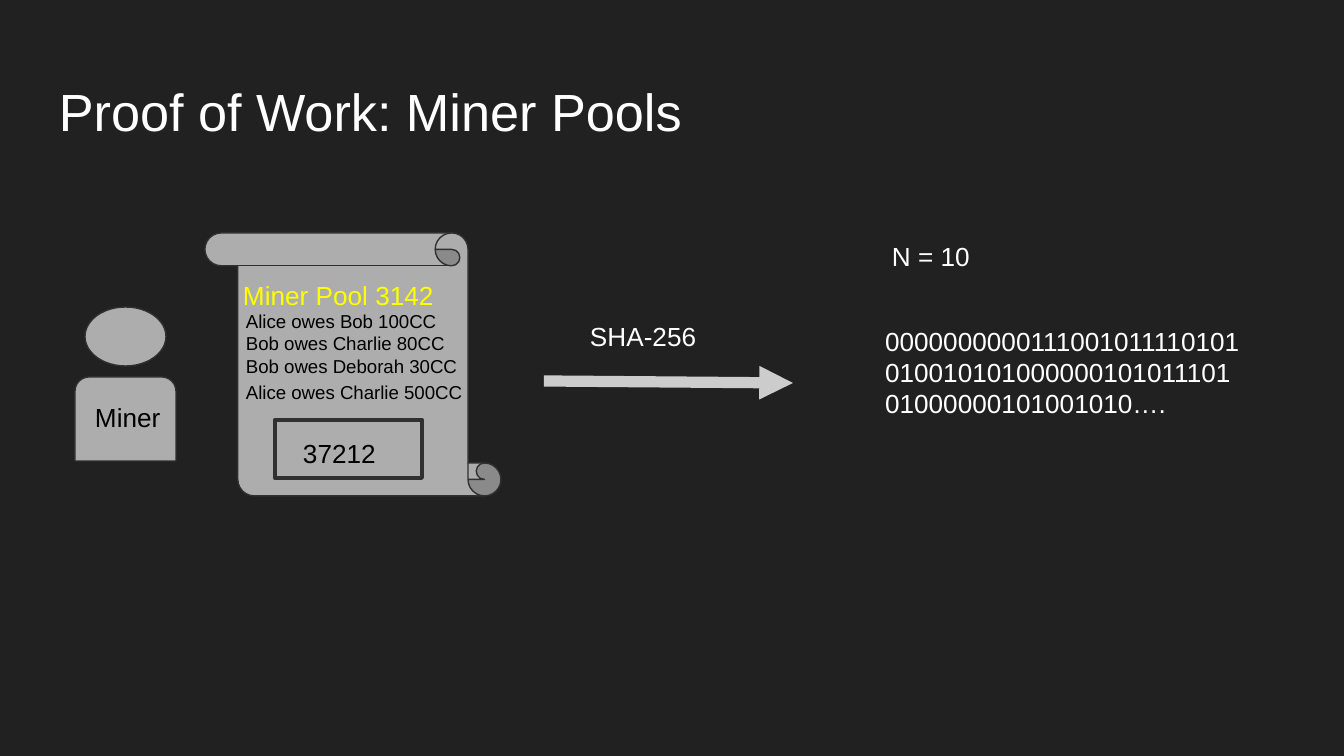
from lxml import etree
from pptx import Presentation
from pptx.dml.color import RGBColor
from pptx.enum.shapes import MSO_CONNECTOR, MSO_SHAPE
from pptx.oxml.ns import qn
from pptx.util import Pt

STRAIGHT = MSO_CONNECTOR.STRAIGHT
SCROLL = MSO_SHAPE.VERTICAL_SCROLL
RECT = MSO_SHAPE.RECTANGLE
ROUND_TOP = MSO_SHAPE.ROUND_2_SAME_RECTANGLE
OVAL = MSO_SHAPE.OVAL

PX = 914400 / 134.4
INSET = 13
COLORS = {
    "background": "212121",
    "fill": "ADADAD",
    "outline": "303030",
    "arrow": "CCCCCC",
    "light": "FFFFFF",
    "dark": "000000",
    "pool": "FFFF00",
}


def add_text(text, x, y, w, h, size=14, color="light"):
    tf = slide.shapes.add_textbox(*[round(v * PX) for v in (x, y, w, h)]).text_frame
    tf.word_wrap = True
    tf.margin_left = tf.margin_right = round(INSET * PX)
    tf.margin_top = tf.margin_bottom = round(INSET * PX)
    r = tf.paragraphs[0].add_run()
    r.text = text
    r.font.name = "Arial"
    r.font.size = Pt(size)
    r.font.color.rgb = RGBColor.from_string(COLORS[color])


def add_block(kind, x, y, w, h, line_width=0.75):
    s = slide.shapes.add_shape(kind, *[round(v * PX) for v in (x, y, w, h)])
    s.shadow.inherit = False
    s.fill.solid()
    s.fill.fore_color.rgb = RGBColor.from_string(COLORS["fill"])
    s.line.color.rgb = RGBColor.from_string(COLORS["outline"])
    s.line.width = Pt(line_width)
    return s


prs = Presentation()
prs.slide_width = round(1344 * PX)
prs.slide_height = round(756 * PX)
slide = prs.slides.add_slide(prs.slide_layouts[6])
bg = slide.background.fill
bg.solid()
bg.fore_color.rgb = RGBColor.from_string(COLORS["background"])

add_text("Proof of Work: Miner Pools", 46, 66, 1253, 85, size=28)

# Ledger scroll with its nonce
scroll = add_block(SCROLL, 205, 233, 296, 263)
scroll.adjustments[0] = 0.125
scroll._element.spPr.find(qn("a:xfrm")).set("flipH", "1")
add_block(RECT, 275, 420, 147, 58, line_width=2.25)
add_text("37212", 290, 424, 109, 46, color="dark")

# Hash arrow
arrow = slide.shapes.add_connector(
    STRAIGHT, *[round(v * PX) for v in (544, 381, 793, 383)]
)
arrow.line.color.rgb = RGBColor.from_string(COLORS["arrow"])
arrow.line.width = Pt(6)
etree.SubElement(arrow.line._get_or_add_ln(), qn("a:tailEnd"), type="triangle")
etree.SubElement(arrow._element.spPr, qn("a:effectLst"))
add_text("SHA-256", 577, 307, 138, 58)

# Hash result
add_text(
    "000000000011100101111010101001010100000010101110101000000101001010….",
    872, 312, 382, 146,
)
add_text("N = 10", 879, 227, 122, 62)

# Miner
body = add_block(ROUND_TOP, 75, 377, 101, 84)
body.adjustments[0] = 0.17
body.adjustments[1] = 0
add_block(OVAL, 85, 307, 81, 59)
add_text("Miner", 82, 388, 109, 66, color="dark")

# Ledger entries
add_text("Miner Pool 3142", 230, 266, 238, 32, color="pool")
for entry, y in (
    ("Alice owes Bob 100CC", 299),
    ("Bob owes Charlie 80CC", 321),
    ("Bob owes Deborah 30CC", 344),
    ("Alice owes Charlie 500CC", 370),
):
    add_text(entry, 233, y, 296, 44, size=10, color="dark")

prs.save("out.pptx")
